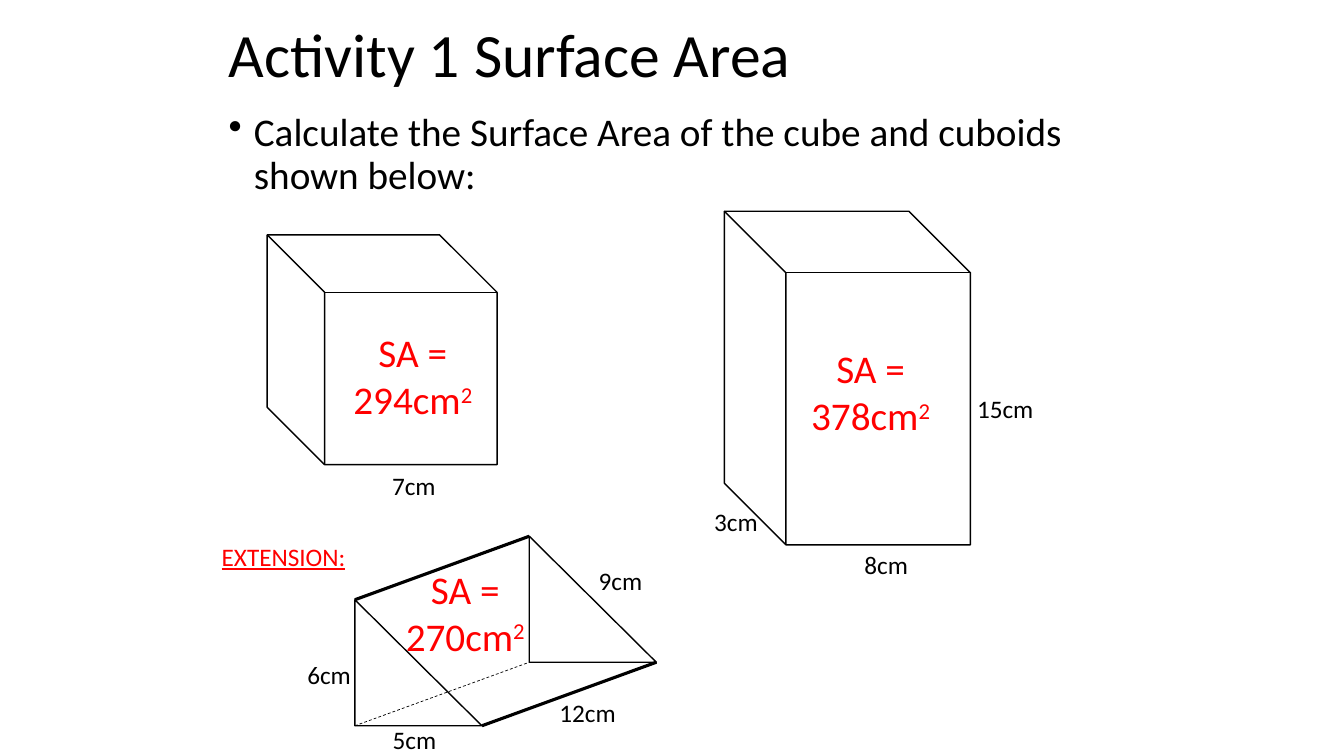
import pptx
import pptx.dml.color
import pptx.enum.dml
import pptx.enum.shapes
import pptx.enum.text
import pptx.oxml
import pptx.oxml.ns
import pptx.util

PX = 9144
THEME = {
    "font": "Calibri",
    "ink": pptx.dml.color.RGBColor(0, 0, 0),
    "answer": pptx.dml.color.RGBColor(255, 0, 0),
    "title": 44,
    "body": 28,
    "label": 18,
    "outline": 1,
    "edge": 2.25,
    "hidden": 0.5,
}
SHAPES = pptx.enum.shapes.MSO_SHAPE
ANCHOR = pptx.enum.text.MSO_ANCHOR
ALIGN = pptx.enum.text.PP_ALIGN
DASH = pptx.enum.dml.MSO_LINE.DASH


def px(*lengths):
    return [pptx.util.Emu(length * PX) for length in lengths]


def set_format(target, values):
    for name, value in values.items():
        setattr(target, name, value)


def add_span(para, text, size, color, **extra):
    span = para.add_run()
    span.text = text
    values = {"name": THEME["font"], "size": pptx.util.Pt(THEME[size])}
    set_format(span.font, {**values, **extra})
    span.font.color.rgb = THEME[color]
    return span


def add_text(page, area, text, size="label", color="ink", align=ALIGN.LEFT,
             anchor=ANCHOR.TOP, spacing=None, **extra):
    box = page.shapes.add_textbox(*px(*area))
    set_format(box.text_frame, {"word_wrap": True, "vertical_anchor": anchor})
    para = box.text_frame.paragraphs[0]
    set_format(para, {"alignment": align, "line_spacing": spacing})
    add_span(para, text, size, color, **extra)
    return para


def add_bullet(para, indent):
    properties = para._p.get_or_add_pPr()
    for name, value in {"marL": indent, "indent": -indent}.items():
        properties.set(name, str(value * PX))
    bullet = pptx.oxml.parse_xml(
        f'<a:buChar {pptx.oxml.ns.nsdecls("a")} char="•"/>')
    properties.append(bullet)


def add_answer(page, left, top, area):
    para = add_text(page, (left, top, 157, 104), f"SA = {area}cm", "body",
                    "answer", ALIGN.CENTER)
    power = add_span(para, "2", "body", "answer")
    power._r.get_or_add_rPr().set("baseline", "30000")


def add_solid(page, kind, area, rotation=0):
    solid = page.shapes.add_shape(kind, *px(*area))
    solid.rotation = rotation
    solid.shadow.inherit = False
    solid.fill.background()
    solid.line.color.rgb = THEME["ink"]
    solid.line.width = pptx.util.Pt(THEME["outline"])


def add_edge(page, start, end, weight, dash=None):
    edge = page.shapes.add_connector(
        pptx.enum.shapes.MSO_CONNECTOR.STRAIGHT, *px(*start, *end))
    edge.line.color.rgb = THEME["ink"]
    set_format(edge.line, {"width": pptx.util.Pt(THEME[weight]),
                           "dash_style": dash})
    effects = pptx.oxml.parse_xml(
        f'<a:effectLst {pptx.oxml.ns.nsdecls("a")}/>')
    edge._element.spPr.append(effects)


def add_prism(page, near, far, width, height):
    for corner in (near, far):
        add_solid(page, SHAPES.RIGHT_TRIANGLE, (*corner, width, height))
    edges = [
        (0, 0, "edge", None),
        (width, height, "edge", None),
        (0, height, "hidden", DASH),
    ]
    for right, down, weight, dash in edges:
        start, end = [(x + right, y + down) for x, y in (near, far)]
        add_edge(page, start, end, weight, dash)


def main():
    deck = pptx.Presentation()
    deck.slide_width, deck.slide_height = px(1333, 750)
    page = deck.slides.add_slide(deck.slide_layouts[6])

    add_text(page, (217, 0, 900, 115), "Activity 1 Surface Area", "title",
             anchor=ANCHOR.MIDDLE, spacing=0.9)
    task = add_text(
        page, (217, 107, 900, 563),
        "Calculate the Surface Area of the cube and cuboids shown below:",
        "body", spacing=0.9)
    add_bullet(task, 25)

    for area in [(265, 233, 228, 228), (675, 253, 331, 244)]:
        add_solid(page, SHAPES.CUBE, area, 270)
    add_prism(page, (352, 595), (525, 532), 126, 125)

    labels = [
        ("7cm", 379, 462, 98, ALIGN.LEFT),
        ("8cm", 824, 540, 110, ALIGN.CENTER),
        ("3cm", 675, 497, 110, ALIGN.CENTER),
        ("15cm", 942, 385, 110, ALIGN.CENTER),
        ("5cm", 360, 714, 102, ALIGN.CENTER),
        ("6cm", 295, 649, 114, ALIGN.LEFT),
        ("12cm", 545, 687, 114, ALIGN.LEFT),
        ("9cm", 584, 556, 114, ALIGN.LEFT),
    ]
    for text, left, top, width, align in labels:
        add_text(page, (left, top, width, 40), text, align=align)
    add_text(page, (210, 532, 252, 40), "EXTENSION:", color="answer",
             underline=True)

    for left, top, area in [(331, 321, 294), (785, 337, 378), (383, 556, 270)]:
        add_answer(page, left, top, area)

    deck.save("out.pptx")


if __name__ == "__main__":
    main()
